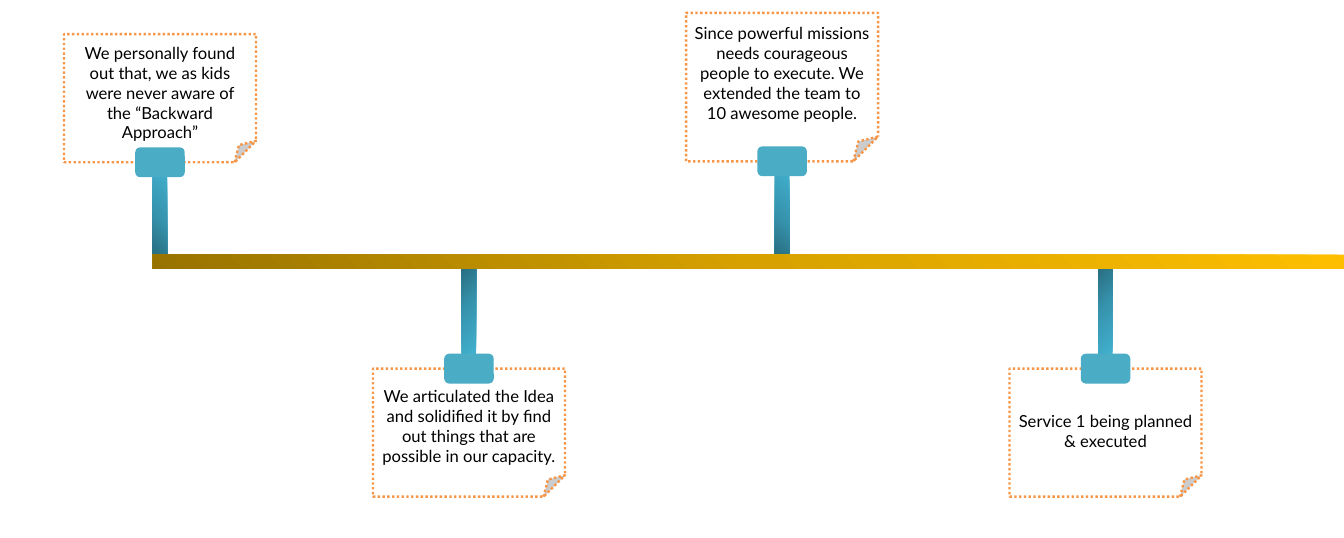
"""Build a timeline slide with four milestone notes hung on a golden arrow."""
import pptx
import pptx.dml.color
import pptx.enum.dml
import pptx.enum.shapes
import pptx.enum.text
import pptx.oxml
import pptx.oxml.ns
import pptx.util

Pt = pptx.util.Pt
SHAPES = pptx.enum.shapes.MSO_SHAPE
COLORS = {"note": "FFFFFF", "border": "F79646", "tab": "4BACC6", "text": "000000"}
STEM_STOPS = ["27697B", "3795AF", "42B1CF"]
ARROW_STOPS = ["977200", "D7A200", "FFC000"]
NOTE_WIDTH = 162
STEM_WIDTH, STEM_HEIGHT = 12.2, 77.8
STEM_TOP_ABOVE, STEM_TOP_BELOW = 142.4, 221
TAB_WIDTH, TAB_HEIGHT = 41.8, 25.2

MILESTONES = [
    (135, True, 28.8, 108, 32.4, 92.2,
     "We personally found out that, we as kids were never aware of the “Backward Approach”"),
    (395.7, False, 310.8, 108, 321.8, 92.2,
     "We articulated the Idea and solidified it by find out things that are possible in our capacity."),
    (659.9, True, 10.8, 125.2, 15.8, 108.7,
     "Since powerful missions needs courageous people to execute. "
     "We extended the team to 10 awesome people."),
    (932.8, False, 310.8, 108, 342.7, 41,
     "Service 1 being planned & executed"),
]


def rgb(name):
    return pptx.dml.color.RGBColor.from_string(COLORS[name])


def add_plain_shape(page, kind, left, top, width, height):
    shape = page.shapes.add_shape(kind, Pt(left), Pt(top), Pt(width), Pt(height))
    shape.shadow.inherit = False
    shape.line.fill.background()
    return shape


def fill_radial(shape, stops, focus_at_bottom):
    shape.fill.background()
    marks = "".join(
        f'<a:gs pos="{index * 50000}"><a:srgbClr val="{color}"/></a:gs>'
        for index, color in enumerate(stops))
    if focus_at_bottom:
        focus = 'l="0" t="100000" r="100000" b="0"'
    else:
        focus = 'l="0" t="0" r="100000" b="100000"'
    gradient = pptx.oxml.parse_xml(
        f'<a:gradFill {pptx.oxml.ns.nsdecls("a")} rotWithShape="1"><a:gsLst>{marks}</a:gsLst>'
        f'<a:path path="circle"><a:fillToRect {focus}/></a:path></a:gradFill>')
    properties = shape.element.spPr
    properties.replace(properties.find(pptx.oxml.ns.qn("a:noFill")), gradient)


def add_stem(page, center, above):
    top = STEM_TOP_ABOVE if above else STEM_TOP_BELOW
    stem = add_plain_shape(page, SHAPES.FLOWCHART_PROCESS, center - STEM_WIDTH / 2, top,
                           STEM_WIDTH, STEM_HEIGHT)
    fill_radial(stem, STEM_STOPS, above)


def add_note(page, center, top, height):
    note = add_plain_shape(page, SHAPES.FOLDED_CORNER, center - NOTE_WIDTH / 2, top,
                           NOTE_WIDTH, height)
    note.fill.solid()
    note.fill.fore_color.rgb = rgb("note")
    note.line.color.rgb = rgb("border")
    note.line.width = Pt(2)
    note.line.dash_style = pptx.enum.dml.MSO_LINE.ROUND_DOT


def add_tab(page, center, edge):
    tab = add_plain_shape(page, SHAPES.ROUNDED_RECTANGLE, center - TAB_WIDTH / 2,
                          edge - TAB_HEIGHT / 2, TAB_WIDTH, TAB_HEIGHT)
    tab.fill.solid()
    tab.fill.fore_color.rgb = rgb("tab")


def add_caption(page, center, top, height, text):
    box = page.shapes.add_textbox(Pt(center - NOTE_WIDTH / 2), Pt(top),
                                  Pt(NOTE_WIDTH), Pt(height))
    frame = box.text_frame
    frame.word_wrap = True
    frame.auto_size = pptx.enum.text.MSO_AUTO_SIZE.SHAPE_TO_FIT_TEXT
    frame.text = text
    para = frame.paragraphs[0]
    para.alignment = pptx.enum.text.PP_ALIGN.CENTER
    span = para.runs[0]
    span.font.name = "Lato"
    span.font.size = Pt(14)
    span.font.color.rgb = rgb("text")


def add_milestone(page, center, above, note_top, note_height, text_top, text_height, text):
    add_stem(page, center, above)
    add_note(page, center, note_top, note_height)
    add_tab(page, center, note_top + note_height if above else note_top)
    add_caption(page, center, text_top, text_height, text)


def add_arrow(page):
    arrow = add_plain_shape(page, SHAPES.RIGHT_ARROW, 128.9, 208.8, 1020, 23.8)
    fill_radial(arrow, ARROW_STOPS, True)


def main():
    deck = pptx.Presentation()
    deck.slide_width, deck.slide_height = Pt(1134), Pt(453.6)
    page = deck.slides.add_slide(deck.slide_layouts[6])
    for milestone in MILESTONES:
        add_milestone(page, *milestone)
    add_arrow(page)
    deck.save("out.pptx")


if __name__ == "__main__":
    main()
